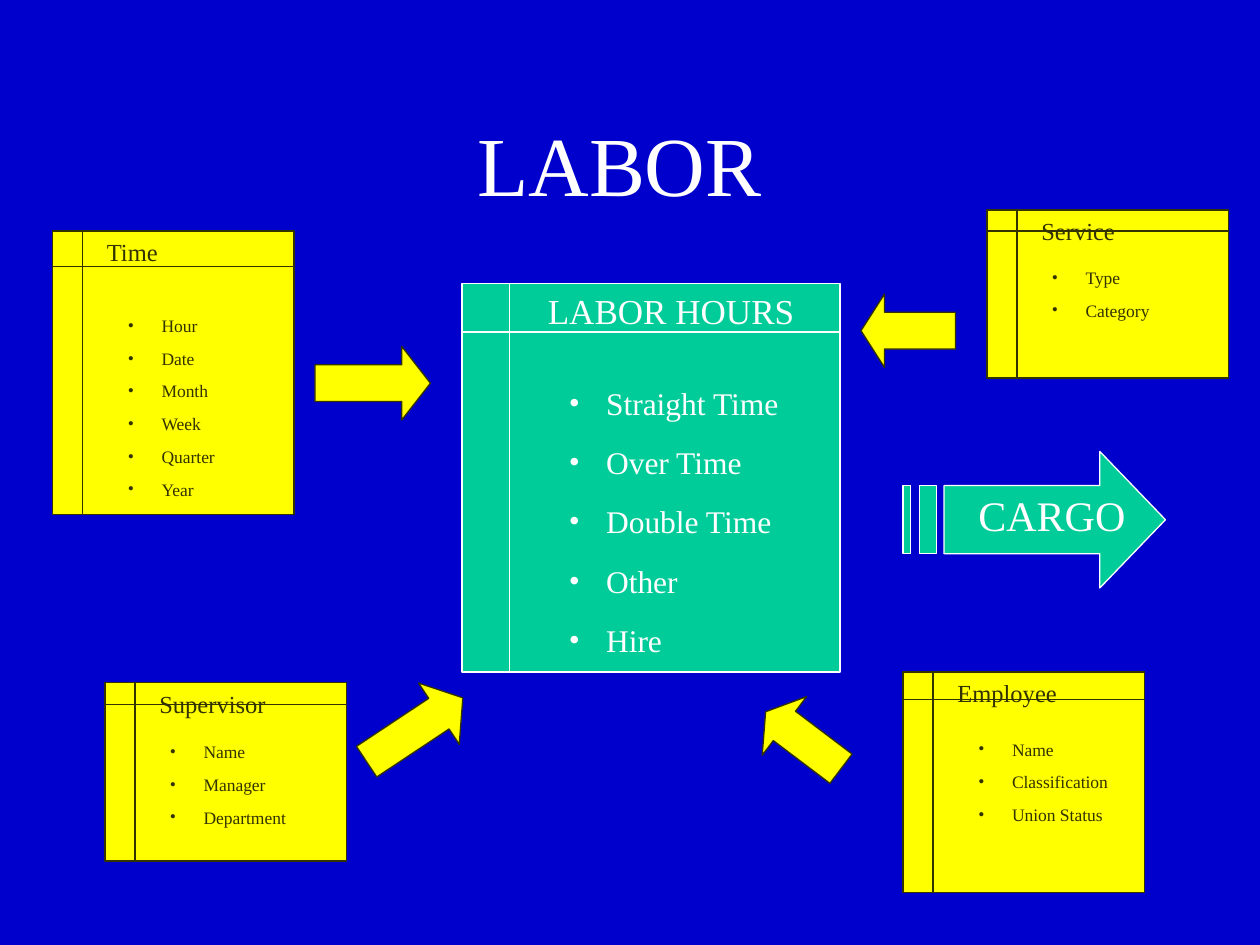
from lxml import etree
from pptx import Presentation
from pptx.dml.color import RGBColor
from pptx.enum.shapes import MSO_SHAPE as SHAPE
from pptx.enum.text import MSO_ANCHOR as ANCHOR, PP_ALIGN as ALIGN
from pptx.oxml.ns import qn
from pptx.util import Pt

FONT = "Times New Roman"
BLUE, GREEN, YELLOW, OLIVE, WHITE = "0000CC", "00CC99", "FFFF00", "333300", "FFFFFF"
rgb = RGBColor.from_string


def paint(shape, fill, line):
    shape.shadow.inherit = False
    shape.fill.solid()
    shape.fill.fore_color.rgb = rgb(fill)
    shape.line.color.rgb = rgb(line)
    shape.line.width = Pt(0.75)


def add_text(parent, box, lines, size, color, bullet_gap=None):
    """Add a text box; a bullet_gap turns its lines into bullets spaced by that gap."""
    frame = parent.add_textbox(*map(Pt, box)).text_frame
    frame.word_wrap = True
    frame.text = "\n".join(lines)
    for paragraph in frame.paragraphs:
        font = paragraph.runs[0].font
        font.name, font.size, font.color.rgb = FONT, Pt(size), rgb(color)
        if bullet_gap is None:
            continue
        paragraph.space_before = Pt(bullet_gap)
        indent = Pt(16.75 + size / 4)
        properties = paragraph._p.get_or_add_pPr()
        properties.set("marL", str(indent))
        properties.set("indent", str(-indent))
        bullet_color = etree.SubElement(properties, qn("a:buClr"))
        etree.SubElement(bullet_color, qn("a:srgbClr"), val=color)
        etree.SubElement(properties, qn("a:buFont"), typeface=FONT)
        etree.SubElement(properties, qn("a:buChar"), char="•")


prs = Presentation()
prs.slide_width, prs.slide_height = Pt(720), Pt(540)
slide = prs.slides.add_slide(prs.slide_layouts[5])
slide.background.fill.solid()
slide.background.fill.fore_color.rgb = rgb(BLUE)

title = slide.shapes.title
title.left, title.top, title.width, title.height = Pt(54), Pt(48), Pt(612), Pt(90)
title.text_frame.text = "LABOR "
title.text_frame.vertical_anchor = ANCHOR.MIDDLE
heading = title.text_frame.paragraphs[0]
heading.alignment = ALIGN.CENTER
heading_font = heading.runs[0].font
heading_font.name, heading_font.size, heading_font.color.rgb = FONT, Pt(48), rgb(WHITE)

# Central fact
hours = slide.shapes.add_shape(
    SHAPE.FLOWCHART_INTERNAL_STORAGE, Pt(264), Pt(162), Pt(216), Pt(222))
paint(hours, GREEN, WHITE)
add_text(slide.shapes, (318, 216, 144, 160.5),
         ["Straight Time", "Over Time", "Double Time", "Other", "Hire"], 18, WHITE, 12.2)
add_text(slide.shapes, (306, 162, 186, 31.5), ["LABOR HOURS"], 20, WHITE)

# Dimensions: name, left, top, height, list left, list top, grouped, attributes
dimensions = [
    ("Time", 30, 132, 162, 66, 176.5, False,
     ["Hour", "Date", "Month", "Week", "Quarter", "Year"]),
    ("Supervisor", 60, 390, 102, 90, 420, False, ["Name", "Manager", "Department"]),
    ("Service", 564, 120, 96, 594, 149, False, ["Type", "Category"]),
    ("Employee", 516, 384, 126, 552, 418.5, True,
     ["Name", "Classification", "Union Status"]),
]
for name, left, top, height, list_left, list_top, grouped, attributes in dimensions:
    parent = slide.shapes.add_group_shape().shapes if grouped else slide.shapes
    card = parent.add_shape(
        SHAPE.FLOWCHART_INTERNAL_STORAGE, Pt(left), Pt(top), Pt(138), Pt(height))
    paint(card, YELLOW, OLIVE)
    add_text(parent, (left + 24, top, 186, 24.5), [name], 14, OLIVE)
    list_height = 18.2 * len(attributes) + 1.5
    add_text(parent, (list_left, list_top, 96, list_height), attributes, 10, OLIVE, 6.65)

# Arrows from the dimensions to the fact
arrows = [
    (SHAPE.RIGHT_ARROW, 180, 198, 66, 0),
    (SHAPE.RIGHT_ARROW, 204, 396, 66, 326.4),
    (SHAPE.LEFT_ARROW, 492, 168, 54, 0),
    (SHAPE.LEFT_ARROW, 432, 402, 54, 37.1),
]
for direction, left, top, width, angle in arrows:
    arrow = slide.shapes.add_shape(direction, Pt(left), Pt(top), Pt(width), Pt(42))
    arrow.adjustments[1] = 0.39 if direction == SHAPE.RIGHT_ARROW else 0.32
    arrow.rotation = angle
    paint(arrow, YELLOW, OLIVE)

# Striped arrow leading on to cargo
shaft_top, shaft_bottom = 277.5, 316.5
outlines = [[(539.5, shaft_top), (628.5, shaft_top), (628.5, 258), (666, 297),
             (628.5, 336), (628.5, shaft_bottom), (539.5, shaft_bottom)]]
for left, right in [(516, 520.5), (525.5, 535)]:
    outlines.append([(left, shaft_top), (right, shaft_top),
                     (right, shaft_bottom), (left, shaft_bottom)])
builder = None
for outline in outlines:
    start, *rest = [(Pt(x), Pt(y)) for x, y in outline]
    if builder is None:
        builder = slide.shapes.build_freeform(*start)
    else:
        builder.move_to(*start)
    builder.add_line_segments(rest, close=True)
paint(builder.convert_to_shape(), GREEN, WHITE)
add_text(slide.shapes, (552, 276, 126, 36), ["CARGO"], 24, WHITE)

prs.save("out.pptx")
